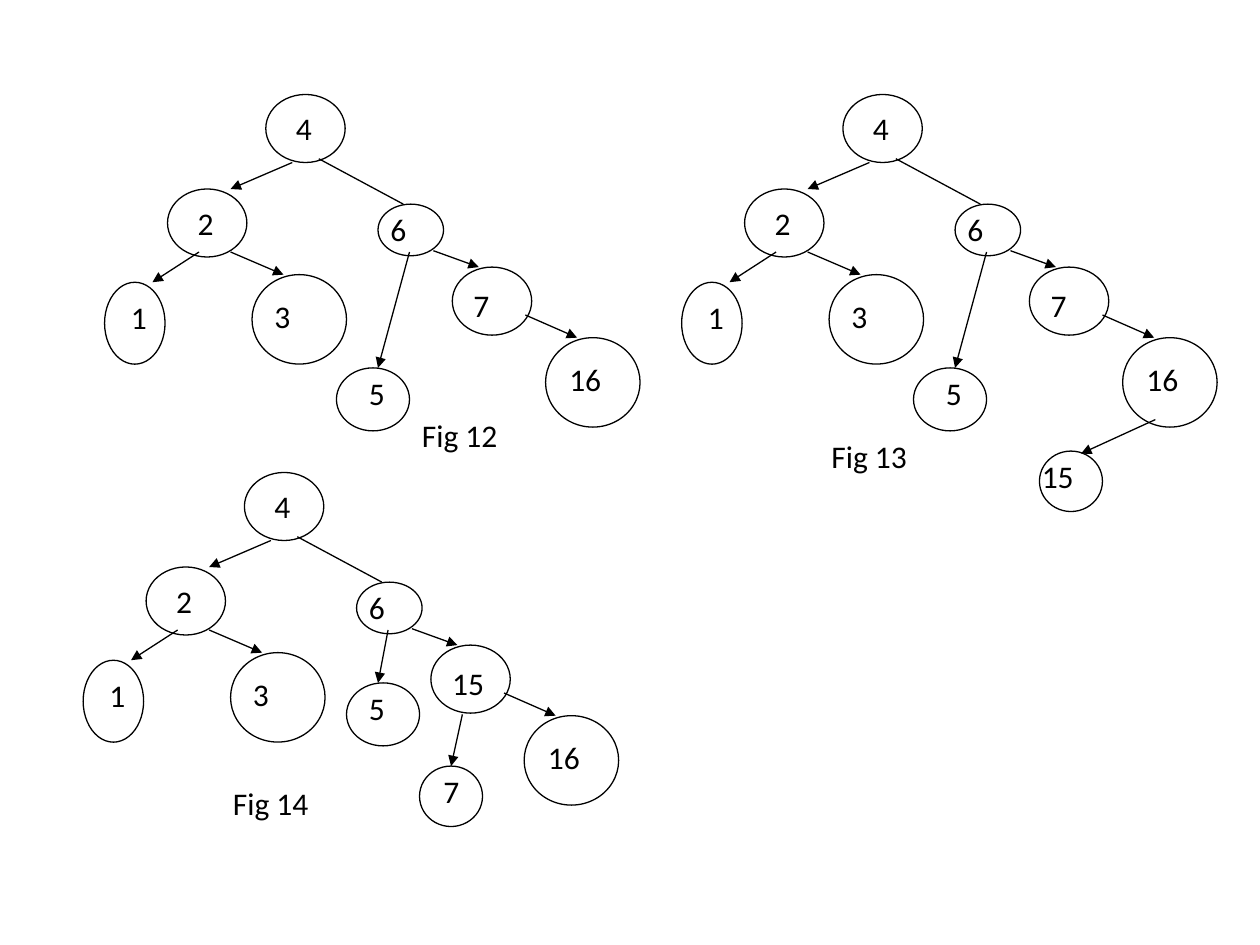
import dataclasses

import pptx
import pptx.dml.color
import pptx.enum.shapes
import pptx.enum.text
import pptx.oxml
import pptx.oxml.ns
import pptx.util

Inches = pptx.util.Inches
Pt = pptx.util.Pt


@dataclasses.dataclass
class Theme:
    ink: pptx.dml.color.RGBColor = pptx.dml.color.RGBColor(0, 0, 0)
    font: str = "Calibri"
    size: int = 18
    line: float = 0.75


def mark(tag, **attrs):
    """Make an empty DrawingML element."""
    node = pptx.oxml.parse_xml(f"<a:{tag} {pptx.oxml.ns.nsdecls('a')}/>")
    for name, value in attrs.items():
        node.set(name, value)
    return node


class Board:
    def __init__(self, slide, theme):
        self.slide, self.theme = slide, theme

    def start(self, left, top):
        """Open a new group whose parts are placed from (left, top)."""
        self.shapes = self.slide.shapes.add_group_shape().shapes
        self.left, self.top = left, top

    def spot(self, x, y):
        return Inches(self.left + x), Inches(self.top + y)

    def ink(self, line):
        line.color.rgb = self.theme.ink
        line.width = Pt(self.theme.line)

    def oval(self, x, y, wide, high):
        kind = pptx.enum.shapes.MSO_SHAPE.OVAL
        shape = self.shapes.add_shape(kind, *self.spot(x, y), Inches(wide), Inches(high))
        shape.shadow.inherit = False
        shape.fill.background()
        self.ink(shape.line)

    def text(self, words, x, y, wide, high=0.4):
        box = self.shapes.add_textbox(*self.spot(x, y), Inches(wide), Inches(high))
        frame = box.text_frame
        frame.word_wrap = True
        frame.auto_size = pptx.enum.text.MSO_AUTO_SIZE.SHAPE_TO_FIT_TEXT
        frame.text = words
        font = frame.paragraphs[0].font
        font.name, font.size = self.theme.font, Pt(self.theme.size)
        font.color.rgb = self.theme.ink

    def edge(self, x1, y1, x2, y2, arrow=True):
        kind = pptx.enum.shapes.MSO_CONNECTOR.STRAIGHT
        link = self.shapes.add_connector(kind, *self.spot(x1, y1), *self.spot(x2, y2))
        self.ink(link.line)
        if arrow:
            link.line._get_or_add_ln().append(mark("tailEnd", type="triangle"))
        link._element.spPr.append(mark("effectLst"))

    def node(self, words, oval, text):
        self.oval(*oval)
        self.text(words, *text)


# Ovals are left, top, width, height; labels are left, top, width.
MID = (0.63, 0.54)
BIG = (0.75, 0.71)
LEAF = (0.58, 0.5)
LAST = (0.5, 0.48)

# Nodes and edges found in every tree
NODES = [
    ("4", (2.11, 0.75, *MID), (2.25, 0.82, 1.12)),
    ("2", (1.33, 1.5, *MID), (1.47, 1.57, 0.7)),
    ("6", (3, 1.62, 0.52, 0.41), (3, 1.62, 0.52, 0.5)),
    ("1", (0.83, 2.24, 0.48, 0.65), (0.94, 2.32, 0.54)),
    ("3", (2, 2.18, *BIG), (2.08, 2.31, 1)),
    ("16", (4.33, 2.68, *BIG), (4.42, 2.81, 1)),
]
EDGES = [
    (2.32, 1.29, 1.83, 1.5),
    (2.53, 1.26, 3.2, 1.62, False),
    (3.44, 1.99, 3.8, 2.12),
    (1.58, 2, 1.21, 2.24),
    (1.83, 2, 2.25, 2.18),
    (4.17, 2.5, 4.58, 2.68),
]

# Per tree: origin, caption place, key of the right child, place of "5"
# (oval, label, arrow end), extra leaf (key, oval, label, edge)
LOW = ((2.67, 2.92), (2.83, 2.92), (3, 2.92))
HIGH = ((2.92, 2.42), (3, 2.42), (3.17, 2.42))
TREES = [
    ("Fig 12", (0, 0), (3.25, 3.25), "7", LOW, None),
    ("Fig 13", (4.58, 0), (1.92, 3.42), "7", LOW,
     ("15", (3.67, 3.58), (3.59, 3.58), (4.59, 3.33, 4, 3.6))),
    ("Fig 14", (-0.17, 3), (1.92, 3.17), "15", HIGH,
     ("7", (3.5, 3.08), (3.59, 3.08), (3.84, 2.67, 3.75, 3.08))),
]


def main():
    deck = pptx.Presentation()
    deck.slide_width, deck.slide_height = Inches(10), Inches(7.5)
    board = Board(deck.slides.add_slide(deck.slide_layouts[6]), Theme())

    for title, origin, place, right, five, extra in TREES:
        board.start(*origin)
        for node in NODES:
            board.node(*node)
        for edge in EDGES:
            board.edge(*edge)
        board.node(right, (3.59, 2.12, *MID), (3.66, 2.22, 0.84))
        oval, label, tip = five
        board.node("5", (*oval, *LEAF), (*label, 0.83))
        board.edge(3.25, 2, *tip)
        if extra:
            key, oval, label, edge = extra
            board.node(key, (*oval, *LAST), (*label, 0.83))
            board.edge(*edge)
        board.text(title, *place, 1.25)

    deck.save("out.pptx")


if __name__ == "__main__":
    main()
